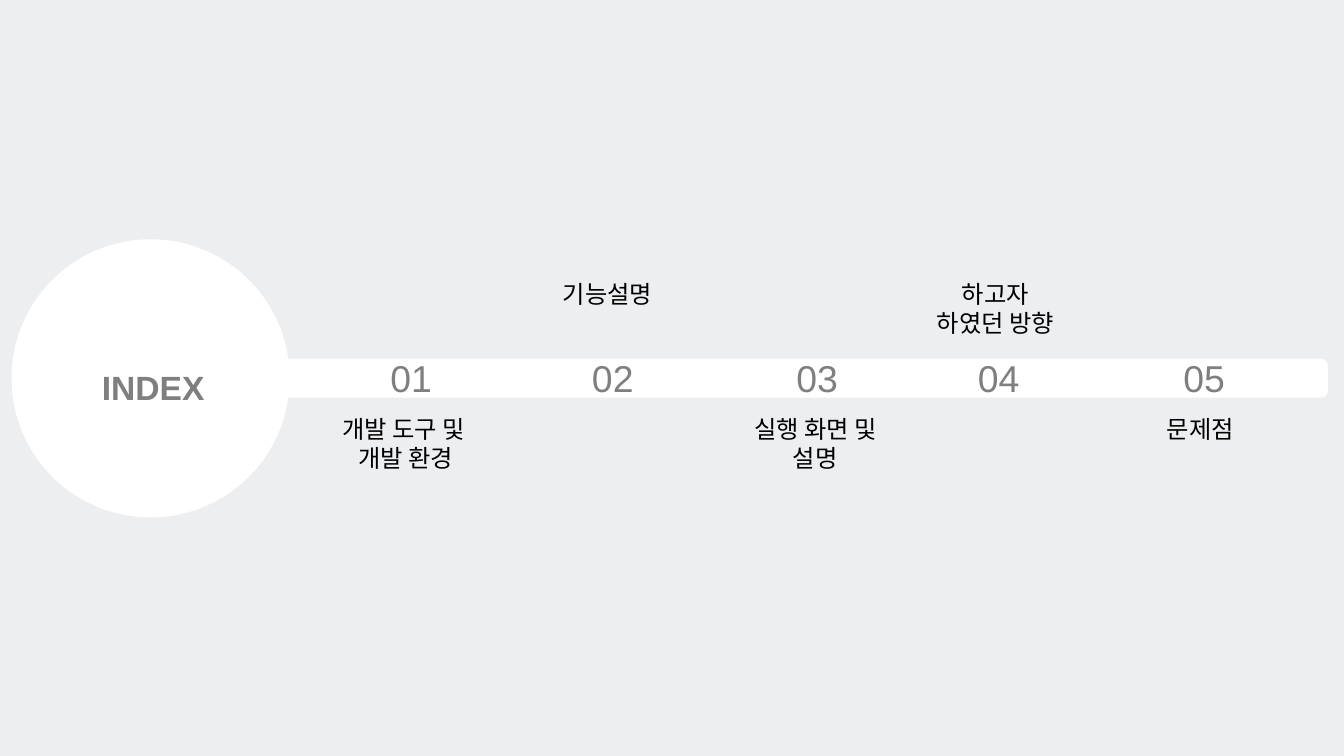
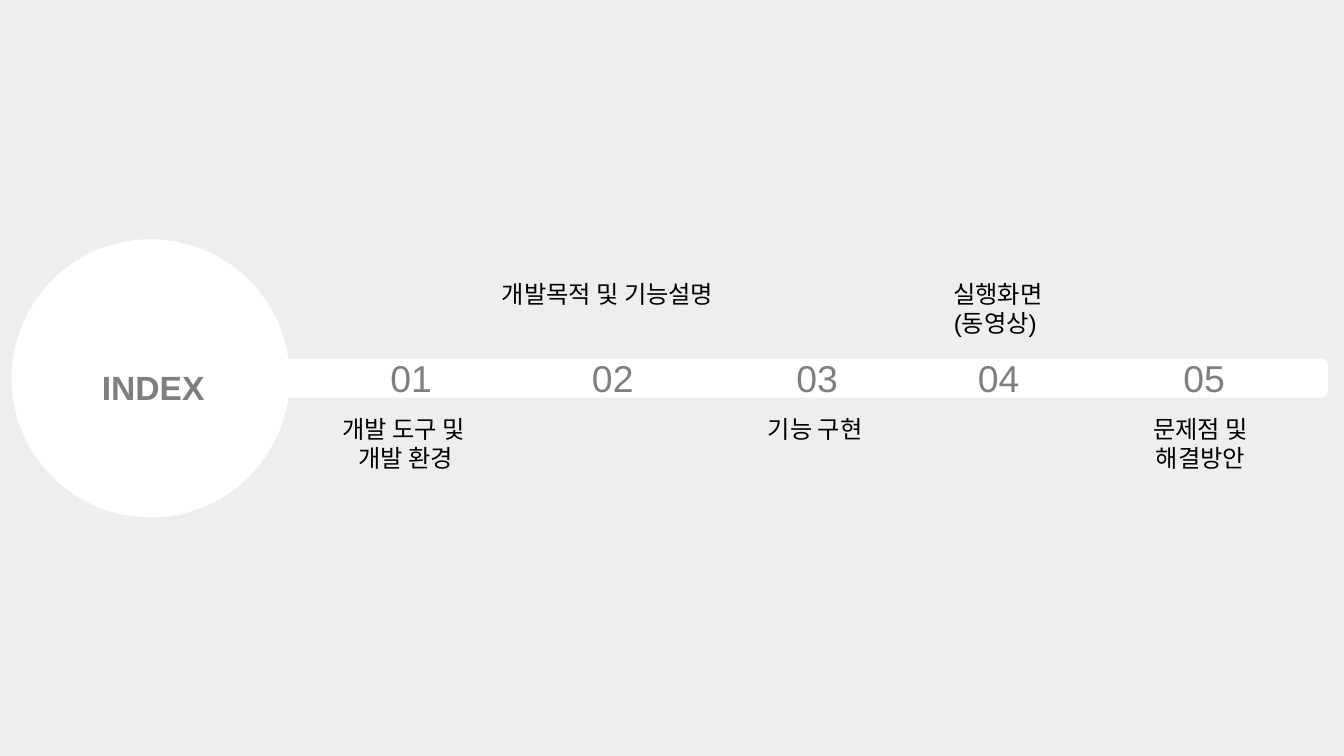
import pptx
import pptx.dml.color
import pptx.enum.shapes
import pptx.enum.text
import pptx.util

Pt = pptx.util.Pt
SHAPES = pptx.enum.shapes.MSO_SHAPE

# Shared style
FONT = "Arial"
BACKGROUND, WHITE, GRAY, BLACK = "ECEEF0", "FFFFFF", "7F7F7F", "000000"

# Timeline stops: number left, label left, label width, label height
STOPS = [
    (198.7, 155.5, 123.8, 48.2),
    (306.7, 259.9, 131, 38.9),
    (416.2, 383.8, 105.8, 38.9),
    (513.4, 493.9, 78.5, 38.9),
    (623.5, 589.7, 106.6, 23),
]
LABEL_ABOVE, LABEL_BELOW = 146.2, 218.2

# One list of topics per slide; a line break starts a new paragraph
INDEXES = [
    ["개발 도구 및 \n개발 환경", "기능설명", "실행 화면 및 설명",
     "하고자 하였던 방향", "문제점"],
    ["개발 도구 및 \n개발 환경", "개발목적 및 기능설명", "기능 구현",
     " 실행화면 (동영상)", "문제점 및 해결방안"],
]


def paint(color_format, color):
    color_format.rgb = pptx.dml.color.RGBColor.from_string(color)


def add_panel(slide, kind, left, top, width, height):
    panel = slide.shapes.add_shape(kind, Pt(left), Pt(top), Pt(width), Pt(height))
    panel.shadow.inherit = False
    panel.fill.solid()
    paint(panel.fill.fore_color, WHITE)
    panel.line.fill.background()
    return panel


def add_text(slide, text, left, top, width, height, size, color,
             bold=False, line_spacing=None):
    box = slide.shapes.add_textbox(Pt(left), Pt(top), Pt(width), Pt(height))
    frame = box.text_frame
    frame.word_wrap = True
    frame.text = text
    for paragraph in frame.paragraphs:
        paragraph.alignment = pptx.enum.text.PP_ALIGN.CENTER
        paragraph.line_spacing = line_spacing
        paragraph.font.name = FONT
        paragraph.font.size = Pt(size)
        paragraph.font.bold = bold
        paint(paragraph.font.color, color)


def add_index_slide(deck, topics):
    slide = deck.slides.add_slide(deck.slide_layouts[6])
    slide.background.fill.solid()
    paint(slide.background.fill.fore_color, BACKGROUND)

    # Timeline bar and title circle
    bar = add_panel(slide, SHAPES.ROUNDED_RECTANGLE, 13.7, 192.2, 697.7, 20.9)
    bar.adjustments[0] = 0.17
    add_panel(slide, SHAPES.OVAL, 6.2, 128.2, 149, 149)
    add_text(slide, "INDEX", 13.7, 182.2, 136.8, 40.3, 18, GRAY,
             bold=True, line_spacing=1.5)

    # Numbered stops, with labels alternating below and above the bar
    for number, (stop, topic) in enumerate(zip(STOPS, topics), start=1):
        number_left, label_left, label_width, label_height = stop
        label_top = LABEL_BELOW if number % 2 else LABEL_ABOVE
        add_text(slide, f"{number:02}", number_left, 186.5, 43.2, 31.7, 20, GRAY)
        add_text(slide, topic, label_left, label_top, label_width, label_height,
                 13, BLACK)


def main():
    deck = pptx.Presentation()
    deck.slide_width, deck.slide_height = Pt(720), Pt(405)
    for topics in INDEXES:
        add_index_slide(deck, topics)
    deck.save("out.pptx")


if __name__ == "__main__":
    main()
